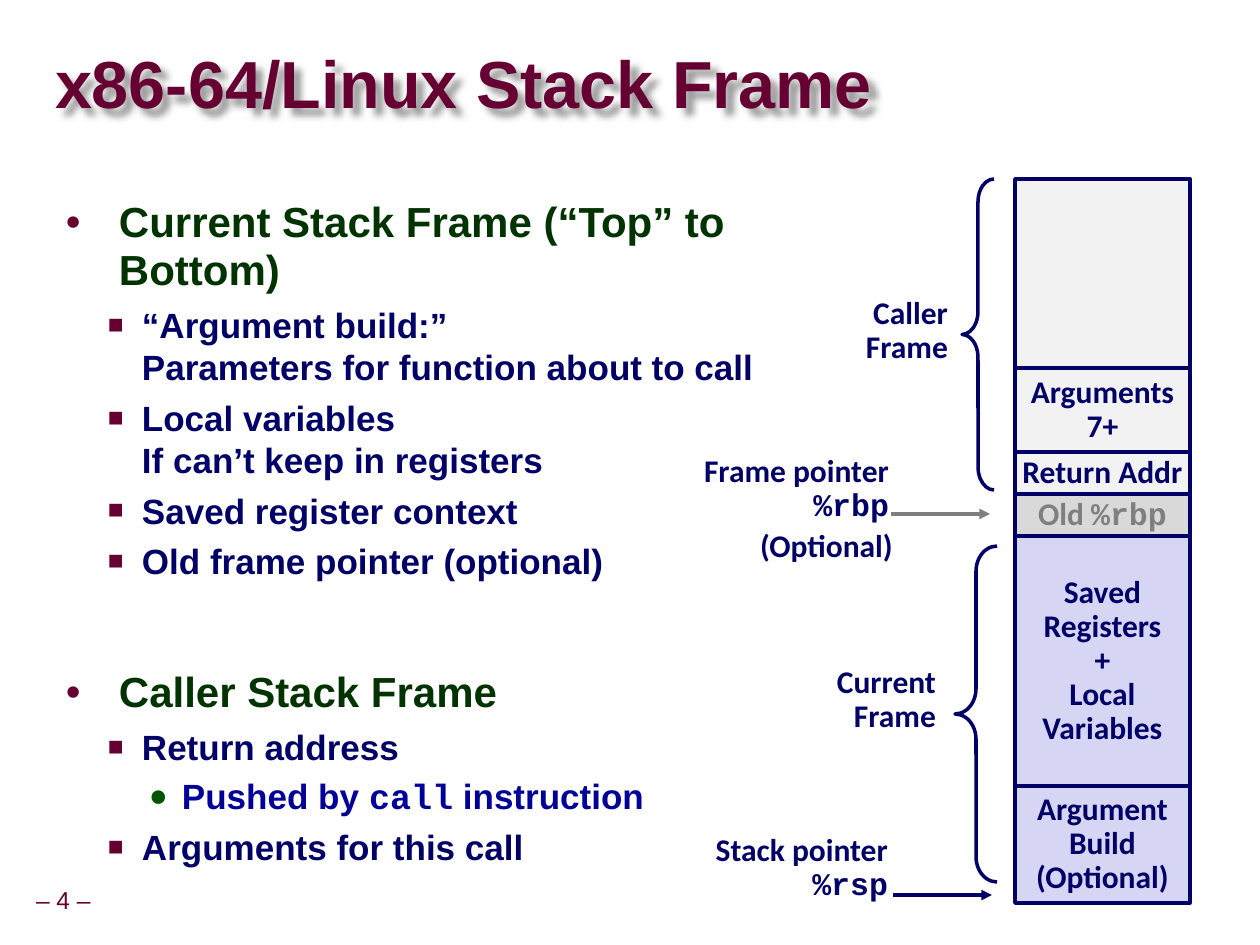
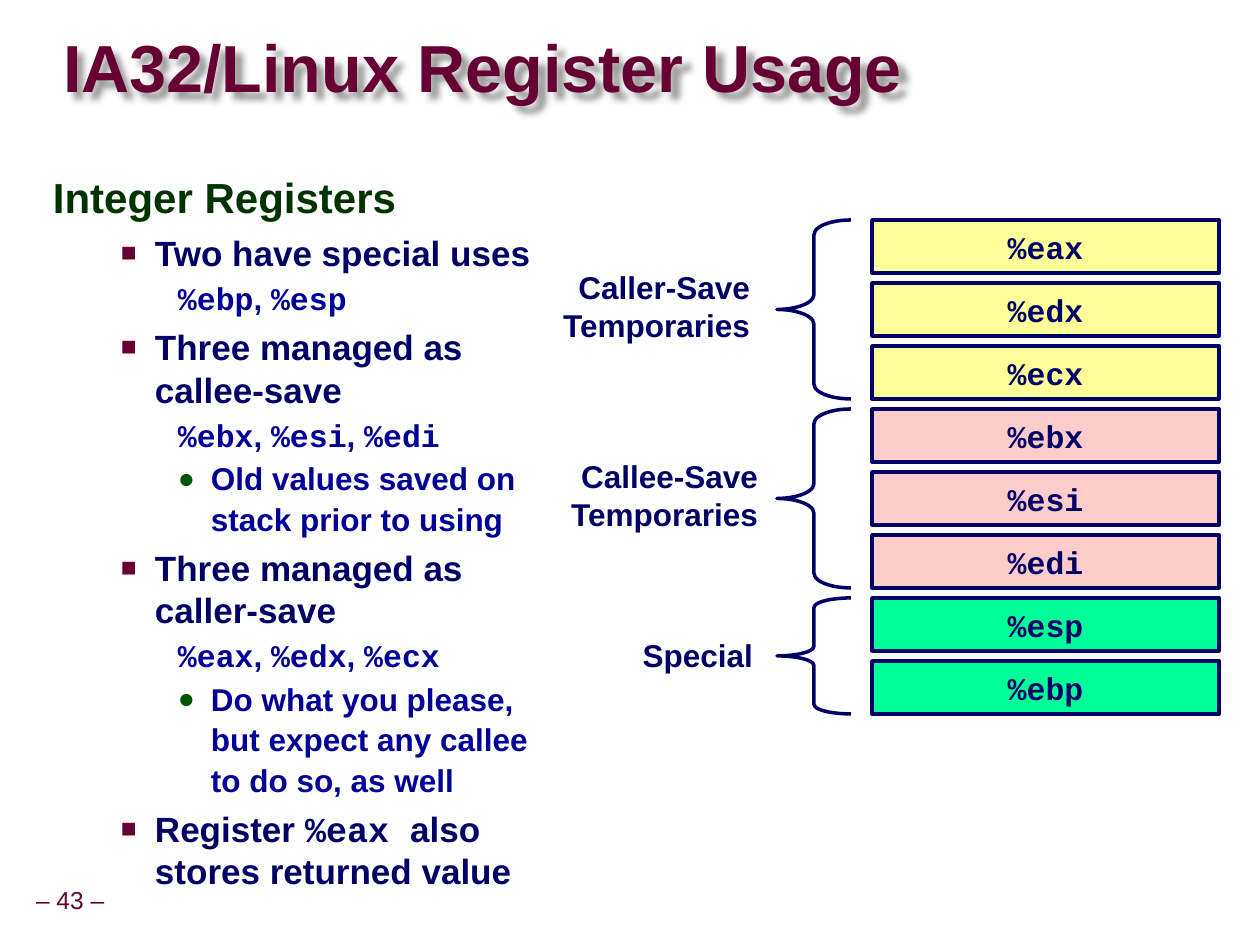
from copy import deepcopy

from lxml.etree import SubElement
from pptx import Presentation
from pptx.dml.color import RGBColor
from pptx.enum.shapes import MSO_CONNECTOR, MSO_SHAPE
from pptx.enum.text import MSO_ANCHOR, MSO_AUTO_SIZE, PP_ALIGN
from pptx.oxml.ns import qn
from pptx.util import Pt

PX = 914400 / 126  # EMU in one px

# Shared colours and fonts
MAROON, GREEN, NAVY, BLUE, DOT = "660033", "003300", "000066", "000099", "005400"
PALE, SILVER, GREY, LILAC = "F2F2F2", "D9D9D9", "7F7F7F", "D6D6F4"
YELLOW, PINK, MINT = "FFFF99", "FFCCCC", "00FF99"
SANS, LABEL, CODE = "Arial", "Calibri", "Courier New"

# List levels: size in points, colour, line spacing, space before as part of size
LEVELS = [
    {"size": 24, "color": GREEN, "spacing": 0.95, "before": 0.5},
    {"size": 20, "color": NAVY, "spacing": 1.0, "before": 0.25},
    {"size": 18, "color": BLUE, "spacing": 1.07, "before": 0.1},
]
BULLETS = {"•": (MAROON, 100), "■": (MAROON, 75), "●": (DOT, 90)}

# Content: list items are (level, bullet, text); backticks mark code
FRAME_PAGE = {
    "title": "x86-64/Linux Stack Frame", "title_at": (55, 34, 1201, 107),
    "number": 4, "body_at": (53, 193, 741, 748),
    "indents": [(53, 53), (76, 34), (116, 33)],
    "sizes": {2: 20}, "gaps": {5: 50},
    "items": [
        (0, "•", "Current Stack Frame (“Top” to Bottom)"),
        (1, "■", "“Argument build:”\nParameters for function about to call"),
        (1, "■", "Local variables\nIf can’t keep in registers"),
        (1, "■", "Saved register context"),
        (1, "■", "Old frame pointer (optional)"),
        (0, "•", "Caller Stack Frame"),
        (1, "■", "Return address"),
        (2, "●", "Pushed by `call` instruction"),
        (1, "■", "Arguments for this call"),
    ],
}
REGISTER_PAGE = {
    "title": "IA32/Linux Register Usage", "title_at": (63, 32, 973, 79),
    "number": 43, "body_at": (40, 169, 509, 719),
    "indents": [(53, 53), (102, 34), (158, 33)],
    "sizes": {}, "gaps": {},
    "items": [
        (0, None, "Integer Registers"),
        (1, "■", "Two have special uses"),
        (2, None, "`%ebp`, `%esp`"),
        (1, "■", "Three managed as callee-save"),
        (2, None, "`%ebx`, `%esi`, `%edi`"),
        (2, "●", "Old values saved on stack prior to using"),
        (1, "■", "Three managed as caller-save"),
        (2, None, "`%eax`, `%edx`, `%ecx`"),
        (2, "●", "Do what you please, but expect any callee to do so, as well"),
        (1, "■", "Register `%eax `also stores returned value"),
    ],
}

# Stack cells from top to bottom: height, fill, text colour, lines
STACK_LEFT, STACK_TOP, STACK_WIDTH = 1015, 179, 175
STACK = [
    (189, PALE, NAVY, []),
    (84, PALE, NAVY, ["Arguments", "7+"]),
    (42, PALE, NAVY, ["Return Addr"]),
    (42, SILVER, GREY, ["Old `%rbp`"]),
    (250, LILAC, NAVY, ["Saved", "Registers", "+", "Local", "Variables"]),
    (117, LILAC, NAVY, ["Argument", "Build", "(Optional)"]),
]
STACK_LABELS = [
    ((859, 292, 94, 87), ["Caller", "Frame"]),
    ((679, 450, 215, 84), ["Frame pointer", "`%rbp`"]),
    ((683, 525, 215, 84), ["(Optional)"]),
    ((829, 661, 112, 79), ["Current", "Frame"]),
    ((689, 829, 204, 84), ["Stack pointer", "`%rsp`"]),
]
STACK_BRACES = [((962, 179, 32, 311), 0.72), ((955, 546, 42, 336), 0.6)]
POINTERS = [(891, 990, 514, GREY), (893, 992, 895, NAVY)]  # from x, to x, y, colour

# Register groups: fill, registers, brace curve, label place, label lines
REGISTER_LEFT, REGISTER_TOP, REGISTER_WIDTH = 872, 220, 347
REGISTER_HEIGHT, REGISTER_PITCH = 53, 63
BRACE_LEFT, BRACE_WIDTH = 777, 74
GROUPS = [
    (YELLOW, ["%eax", "%edx", "%ecx"], 0.2, (549, 262, 214, 88),
     ["Caller-Save", "Temporaries"]),
    (PINK, ["%ebx", "%esi", "%edi"], 0.2, (557, 451, 214, 88),
     ["Callee-Save", "Temporaries"]),
    (MINT, ["%esp", "%ebp"], 0.13, (630, 630, 136, 50), ["Special"]),
]


# Basic helpers
def emu(*lengths):
    return [round(length * PX) for length in lengths]


def rgb(code):
    return RGBColor.from_string(code)


def set_all(target, values):
    for name, value in values.items():
        setattr(target, name, value)


def add_element(parent, tag, **attributes):
    return SubElement(parent, qn(tag), attributes)


def setup_frame(frame, inset, anchor=MSO_ANCHOR.TOP, wrap=False):
    across, down = emu(*inset)
    set_all(frame, {
        "margin_left": across, "margin_right": across,
        "margin_top": down, "margin_bottom": down,
        "vertical_anchor": anchor, "word_wrap": wrap,
        "auto_size": MSO_AUTO_SIZE.NONE,
    })


def write(para, text, size, color, font=SANS, bold=True):
    """Fill a paragraph; text between backticks is set in the code font."""
    for index, part in enumerate(text.split("`")):
        for line_index, line in enumerate(part.split("\n")):
            if line_index:
                para.add_line_break()
            if line:
                span = para.add_run()
                span.text = line
                set_all(span.font, {"size": Pt(size), "bold": bold,
                                    "name": CODE if index % 2 else font})
                span.font.color.rgb = rgb(color)
    for line_break in para._p.findall(qn("a:br")):
        line_break.append(deepcopy(para.runs[0]._r.rPr))


def write_lines(frame, lines, align, color=NAVY, font=SANS, spacing=1.0):
    for index, line in enumerate(lines):
        para = frame.add_paragraph() if index else frame.paragraphs[0]
        set_all(para, {"alignment": align, "line_spacing": spacing})
        write(para, line, 18, color, font)


# Slide objects
def add_outlined(page, kind, place, fill=None):
    shape = page.shapes.add_shape(kind, *emu(*place))
    shape.shadow.inherit = False
    if fill:
        shape.fill.solid()
        shape.fill.fore_color.rgb = rgb(fill)
    else:
        shape.fill.background()
    shape.line.color.rgb = rgb(NAVY)
    shape.line.width = Pt(2)
    return shape


def add_cell(page, place, fill, lines, inset, **style):
    cell = add_outlined(page, MSO_SHAPE.RECTANGLE, place, fill)
    setup_frame(cell.text_frame, inset, MSO_ANCHOR.MIDDLE)
    write_lines(cell.text_frame, lines, PP_ALIGN.CENTER, **style)


def add_brace(page, place, curve):
    add_outlined(page, MSO_SHAPE.LEFT_BRACE, place).adjustments[0] = curve


def add_label(page, place, lines, inset, **style):
    box = page.shapes.add_textbox(*emu(*place))
    setup_frame(box.text_frame, inset)
    write_lines(box.text_frame, lines, PP_ALIGN.RIGHT, **style)


def add_pointer(page, start, end, height, color):
    arrow = page.shapes.add_connector(
        MSO_CONNECTOR.STRAIGHT, *emu(start, height, end, height))
    arrow.line.color.rgb = rgb(color)
    arrow.line.width = Pt(2)
    add_element(arrow.line._get_or_add_ln(), "a:tailEnd", type="triangle")
    add_element(arrow._element.spPr, "a:effectLst")


def add_bullet(para, indent, bullet):
    left, hanging = emu(*indent)
    properties = para._p.get_or_add_pPr()
    properties.set("marL", str(left))
    properties.set("indent", str(-hanging))
    if not bullet:
        add_element(properties, "a:buNone")
        return
    color, percent = BULLETS[bullet]
    add_element(add_element(properties, "a:buClr"), "a:srgbClr", val=color)
    add_element(properties, "a:buSzPct", val=str(percent * 1000))
    add_element(properties, "a:buFont", typeface=SANS)
    add_element(properties, "a:buChar", char=bullet)


def place_shape(shape, place):
    set_all(shape, dict(zip(("left", "top", "width", "height"), emu(*place))))


def add_title(page, text, place):
    title = page.shapes.title
    place_shape(title, place)
    setup_frame(title.text_frame, (0, 0), MSO_ANCHOR.MIDDLE, True)
    para = title.text_frame.paragraphs[0]
    set_all(para, {"alignment": PP_ALIGN.LEFT, "line_spacing": 0.87})
    write(para, text, 38, MAROON)
    effects = add_element(title._element.spPr, "a:effectLst")
    shadow = add_element(effects, "a:outerShdw", blurRad="50800", dist="63500",
                         dir="2700000", algn="tl", rotWithShape="0")
    black = add_element(shadow, "a:srgbClr", val="000000")
    add_element(black, "a:alpha", val="40000")


def add_list(page, content):
    body = page.placeholders[1]
    place_shape(body, content["body_at"])
    frame = body.text_frame
    setup_frame(frame, (13, 6), wrap=True)
    for index, (level, bullet, text) in enumerate(content["items"]):
        style = LEVELS[level]
        size = content["sizes"].get(level, style["size"])
        gap = content["gaps"].get(index, size * style["before"])
        para = frame.add_paragraph() if index else frame.paragraphs[0]
        set_all(para, {"level": level, "line_spacing": style["spacing"],
                       "space_before": Pt(gap if index else 0)})
        add_bullet(para, content["indents"][level], bullet)
        write(para, text, size, style["color"])


def add_page(deck, content):
    """Add a slide with the shared title, list and page number."""
    page = deck.slides.add_slide(deck.slide_layouts[1])
    add_title(page, content["title"], content["title_at"])
    add_list(page, content)
    box = page.shapes.add_textbox(*emu(30, 882, 83, 39))
    setup_frame(box.text_frame, (6, 6), MSO_ANCHOR.MIDDLE)
    para = box.text_frame.paragraphs[0]
    para.line_spacing = 0.9
    write(para, f"– {content['number']} –", 14, MAROON, bold=False)
    return page


# Diagrams
def draw_stack(page):
    style = {"font": LABEL, "spacing": 0.9}
    top = STACK_TOP
    for height, fill, color, lines in STACK:
        add_cell(page, (STACK_LEFT, top, STACK_WIDTH, height), fill, lines,
                 (0, 0), color=color, **style)
        top += height
    for place, lines in STACK_LABELS:
        add_label(page, place, lines, (5, 5), **style)
    for place, curve in STACK_BRACES:
        add_brace(page, place, curve)
    for pointer in POINTERS:
        add_pointer(page, *pointer)


def draw_registers(page):
    top = REGISTER_TOP
    for fill, registers, curve, label_place, label in GROUPS:
        span_height = (len(registers) - 1) * REGISTER_PITCH + REGISTER_HEIGHT
        add_brace(page, (BRACE_LEFT, top, BRACE_WIDTH, span_height), curve)
        add_label(page, label_place, label, (13, 6))
        for register in registers:
            add_cell(page, (REGISTER_LEFT, top, REGISTER_WIDTH, REGISTER_HEIGHT),
                     fill, [register], (13, 6), font=CODE)
            top += REGISTER_PITCH


def main():
    deck = Presentation()
    deck.slide_width, deck.slide_height = emu(1260, 945)
    draw_stack(add_page(deck, FRAME_PAGE))
    draw_registers(add_page(deck, REGISTER_PAGE))
    deck.save("out.pptx")


if __name__ == "__main__":
    main()
